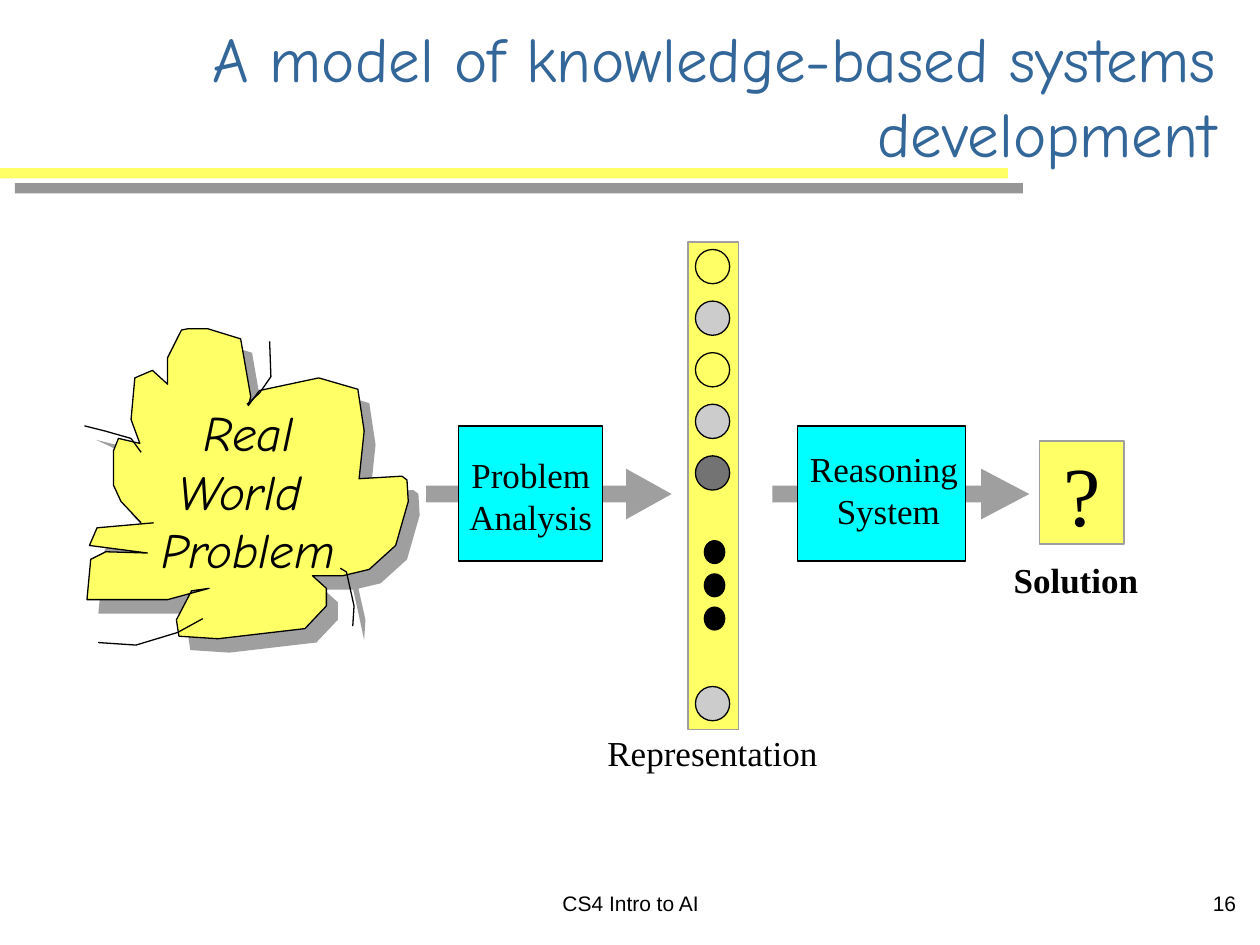
from dataclasses import dataclass

from lxml import etree
from pptx import Presentation
from pptx.dml.color import RGBColor
from pptx.enum.shapes import MSO_SHAPE
from pptx.enum.text import MSO_ANCHOR, MSO_AUTO_SIZE, PP_ALIGN
from pptx.oxml.ns import qn
from pptx.util import Cm, Pt

RECT = MSO_SHAPE.RECTANGLE
OVAL = MSO_SHAPE.OVAL
ARROW = MSO_SHAPE.RIGHT_ARROW
TOP, MIDDLE = MSO_ANCHOR.TOP, MSO_ANCHOR.MIDDLE
CENTER, RIGHT = PP_ALIGN.CENTER, PP_ALIGN.RIGHT
FIXED = MSO_AUTO_SIZE.NONE


@dataclass(frozen=True)
class Theme:
    """Hold the colours, fonts and type sizes."""
    blue: str = "336699"
    yellow: str = "FFFF66"
    cyan: str = "00FFFF"
    black: str = "000000"
    gray: str = "9F9F9F"
    shade: str = "969696"
    pale: str = "CCCCCC"
    dark: str = "737373"
    comic: str = "Comic Neue"
    serif: str = "Times New Roman"
    sans: str = "Arial"
    title: int = 36
    mark: int = 48
    cloud: int = 28
    label: int = 20
    foot: int = 12
    line: float = 0.75


THEME = Theme()

CLOUD = (
    (112, 415), (96, 398), (90, 385), (90, 358), (94, 348), (111, 352),
    (104, 333), (107, 300), (121, 294), (133, 305), (133, 284), (144, 262),
    (149, 261), (165, 261), (191, 269), (199, 315), (197, 322), (206, 310),
    (253, 300), (284, 309), (289, 342), (285, 380), (319, 378), (323, 381),
    (324, 398), (314, 433), (293, 452), (272, 457), (248, 457), (259, 467),
    (259, 481), (242, 499), (173, 507), (142, 505), (140, 492), (152, 469),
    (166, 467), (133, 476), (69, 476), (72, 444), (84, 438), (117, 439),
    (71, 433), (77, 419), (122, 415))
NORTH = ((196, 321), (206, 312), (215, 299), (214, 271))
EAST = ((270, 451), (275, 454), (281, 481), (280, 497))
SOUTH = ((161, 491), (141, 502), (108, 512), (78, 510))
WEST = ((112, 359), (104, 348), (83, 342), (67, 338))


def style(shape, fill=None, line=None):
    """Set fill and outline and drop the shadow."""
    shape.shadow.inherit = False
    if fill:
        shape.fill.solid()
        shape.fill.fore_color.rgb = RGBColor.from_string(fill)
    else:
        shape.fill.background()
    if line:
        shape.line.color.rgb = RGBColor.from_string(line)
        shape.line.width = Pt(THEME.line)
    else:
        shape.line.fill.background()


def block(slide, kind, box, fill=None, line=None):
    """Add a preset shape."""
    shape = slide.shapes.add_shape(kind, *map(Cm, box))
    style(shape, fill, line)
    return shape


def outline(slide, points, fill=None, line=None, shift=(0, 0)):
    """Add an open outline given in hundredths of an inch."""
    path = slide.shapes.build_freeform(*points[0], scale=Cm(2.54) / 100)
    path.add_line_segments(points[1:], close=False)
    style(path.convert_to_shape(*map(Cm, shift)), fill, line)


def write(shape, text, font, size, color=THEME.black, align=CENTER,
          anchor=TOP, inset=(0.03, 0.03), wrap=True, bold=False, slant=False):
    """Fill a shape with formatted text."""
    frame = shape.text_frame
    frame.text = text
    frame.auto_size = FIXED
    frame.word_wrap = wrap
    frame.vertical_anchor = anchor
    frame.margin_left = frame.margin_right = Cm(inset[0])
    frame.margin_top = frame.margin_bottom = Cm(inset[1])
    for para in frame.paragraphs:
        para.alignment = align
        for run in para.runs:
            run.font.name = font
            run.font.size = Pt(size)
            run.font.bold = bold
            run.font.italic = slant
            run.font.color.rgb = RGBColor.from_string(color)


def label(slide, box, text, font=THEME.serif, size=THEME.label, **opts):
    """Add a text box."""
    write(slide.shapes.add_textbox(*map(Cm, box)), text, font, size, **opts)


def arrow(slide, box, head):
    """Add a thick arrow pointing right."""
    shape = block(slide, ARROW, box, THEME.gray)
    shape.adjustments[0] = 0.33
    shape.adjustments[1] = head


def banner(slide):
    """Add the title and the shaded bar under it."""
    bar = block(slide, RECT, (0, 3.39, 20.32, 0.21), THEME.yellow)
    effect = bar._element.spPr.find(qn("a:effectLst"))
    shade = etree.SubElement(effect, qn("a:outerShdw"), dist=str(Pt(12.1)),
                             dir="2700000", algn="ctr", rotWithShape="0")
    etree.SubElement(shade, qn("a:srgbClr"), val=THEME.shade)
    title = slide.shapes.title
    title.left, title.top, title.width, title.height = map(
        Cm, (3.18, 0.64, 21.59, 2.54))
    write(title, "A model of knowledge-based systems development", THEME.comic,
          THEME.title, THEME.blue, RIGHT, MIDDLE, (0.25, 0.13))


def problem(slide):
    """Draw the cloud with its shadow and stray lines."""
    for points in (CLOUD, EAST, WEST):
        outline(slide, points, THEME.gray, shift=(0.23, 0.28))
    outline(slide, CLOUD, THEME.yellow, THEME.black)
    for points in (NORTH, EAST, SOUTH, WEST):
        outline(slide, points, line=THEME.black)
    label(slide, (3.12, 8.08, 3.76, 3.73), "Real\nWorld \nProblem",
          THEME.comic, THEME.cloud, slant=True)


def column(slide):
    """Draw the column of nodes with its caption."""
    block(slide, RECT, (13.87, 4.88, 1.02, 9.83), THEME.yellow, THEME.gray)
    fills = (None, THEME.pale, None, THEME.pale, THEME.dark)
    nodes = [(5.03 + 1.04 * i, fill) for i, fill in enumerate(fills)]
    for top, fill in nodes + [(13.84, THEME.pale)]:
        block(slide, OVAL, (14.02, top, 0.69, 0.69), fill, THEME.black)
    for i in range(3):
        block(slide, OVAL, (14.2, 10.9 + 0.67 * i, 0.41, 0.46),
              THEME.black, THEME.black)
    label(slide, (12.14, 14.71, 4.45, 0.84), "Representation")


def stages(slide):
    """Draw the two process steps and the solution."""
    arrow(slide, (8.59, 9.45, 4.95, 1.02), 0.9)
    block(slide, RECT, (9.25, 8.59, 2.9, 2.72), THEME.cyan, THEME.black)
    label(slide, (9.25, 9.12, 2.9, 1.52), "Problem Analysis")
    arrow(slide, (15.57, 9.45, 5.18, 1.02), 0.95)
    block(slide, RECT, (16.08, 8.59, 3.38, 2.72), THEME.cyan, THEME.black)
    label(slide, (16.08, 8.89, 3.66, 1.96), "Reasoning \nSystem",
          inset=(0.25, 0.13), wrap=False)
    goal = block(slide, RECT, (20.96, 8.89, 1.7, 2.08), THEME.yellow, THEME.gray)
    write(goal, "?", THEME.serif, THEME.mark)
    label(slide, (20.32, 11.23, 2.74, 0.86), "Solution", bold=True)


def footer(slide):
    """Add the course name and the page number."""
    for left, width, text, align in ((8.69, 8.05, "CS4 Intro to AI", CENTER),
                                     (19.89, 5.28, "16", RIGHT)):
        label(slide, (left, 17.58, width, 1.27), text, THEME.sans, THEME.foot,
              align=align, anchor=MIDDLE, inset=(0.25, 0.13))


def main():
    """Build and save the slide."""
    deck = Presentation()
    deck.slide_width, deck.slide_height = Cm(25.4), Cm(19.05)
    slide = deck.slides.add_slide(deck.slide_layouts[5])
    for draw in (banner, problem, column, stages, footer):
        draw(slide)
    deck.save("out.pptx")


if __name__ == "__main__":
    main()
